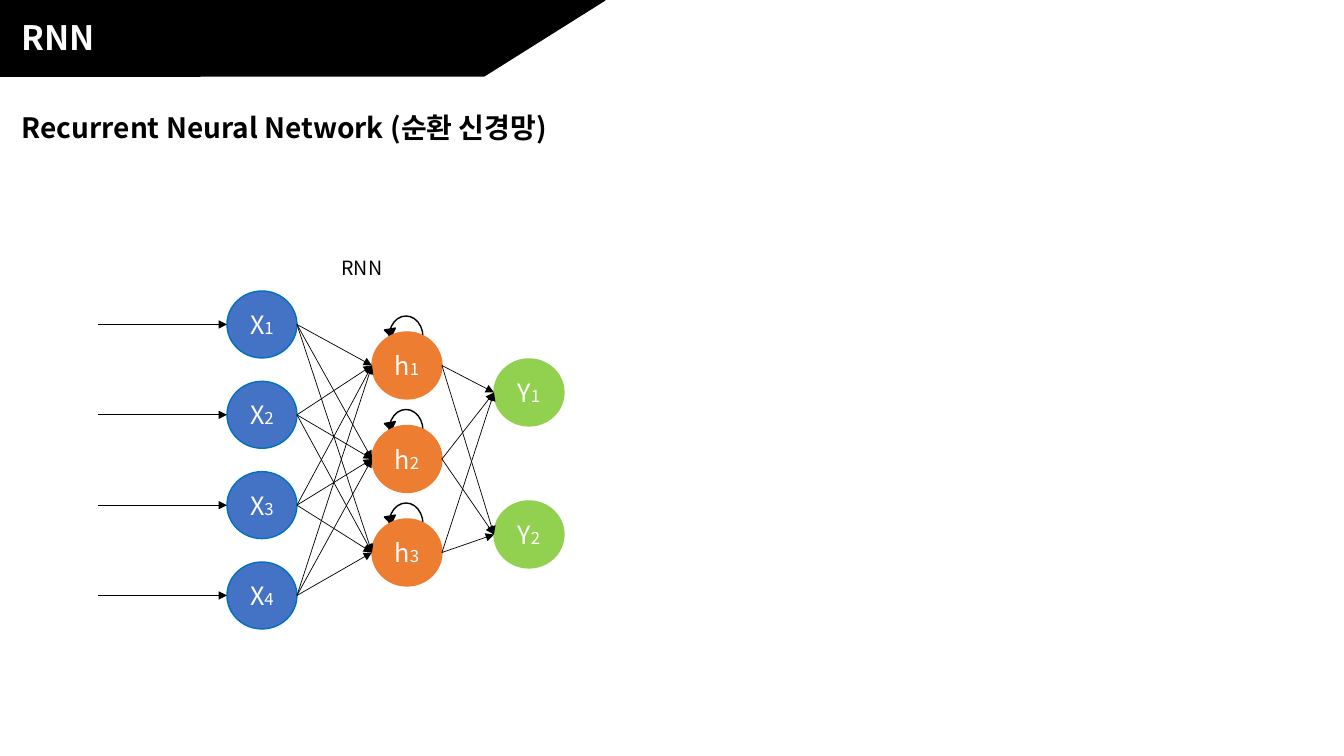
from itertools import product
from pptx import Presentation
from pptx.dml.color import RGBColor
from pptx.enum.shapes import MSO_CONNECTOR, MSO_SHAPE as SHAPE
from pptx.enum.text import MSO_ANCHOR, PP_ALIGN
from pptx.oxml.ns import qn
from pptx.util import Emu, Pt
from lxml.etree import SubElement

FONT = "Noto Sans CJK KR"
BLACK, WHITE = "000000", "FFFFFF"

# text, (left, top, width, height) in px, format
TEXTS = [
    ("RNN", (12, 12, 374, 50), dict(size=24, color=WHITE, bold=True)),
    ("RNN", (327, 251, 70, 34), dict(size=14, align=PP_ALIGN.CENTER)),
    ("Recurrent Neural Network (순환 신경망)", (12, 106, 851, 44),
     dict(size=20, bold=True)),
]
# letter, node count, left, first top, last top, fill, outline
LAYERS = [
    ("X", 4, 227, 291, 562, "4472C4", "0070C0"),
    ("h", 3, 372, 332, 519, "ED7D31", "ED7D31"),
    ("Y", 2, 494, 359, 501, "92D050", "92D050"),
]
NODE_W, NODE_H = 70, 67
INPUT_LEFT = 98
RECURRENT = "h"


def px(n):
    return Emu(round(n * 914400 / 100.8))


def rgb(color):
    return RGBColor.from_string(color)


def add_shape(kind, box, fill=None, line=BLACK, rotation=0):
    s = slide.shapes.add_shape(kind, *map(px, box))
    s.shadow.inherit = False
    s.rotation = rotation
    if fill:
        s.fill.solid()
        s.fill.fore_color.rgb = rgb(fill)
    else:
        s.fill.background()
    s.line.color.rgb = rgb(line)
    s.line.width = Pt(1)
    return s


def add_run(p, text, size, color=BLACK, bold=False, align=PP_ALIGN.LEFT):
    p.alignment = align
    r = p.add_run()
    r.text = text
    r.font.size, r.font.bold, r.font.name = Pt(size), bold, FONT
    r.font.color.rgb = rgb(color)
    SubElement(r._r.rPr, qn("a:ea")).set("typeface", FONT)


def add_text(text, box, **fmt):
    s = slide.shapes.add_textbox(*map(px, box))
    s.text_frame.word_wrap = True
    add_run(s.text_frame.paragraphs[0], text, **fmt)


def add_arrow(start, end):
    c = slide.shapes.add_connector(MSO_CONNECTOR.STRAIGHT,
                                   *map(px, (*start, *end)))
    c.line.color.rgb = rgb(BLACK)
    c.line.width = Pt(0.5)
    SubElement(c.line._get_or_add_ln(), qn("a:tailEnd")).set("type", "triangle")
    SubElement(c._element.spPr, qn("a:effectLst"))


def add_loop(left, top):
    """Self-loop above a recurrent node; the node covers its lower part."""
    add_shape(SHAPE.ISOSCELES_TRIANGLE, (left + 13, top - 3, 11, 8), BLACK,
              rotation=170.3)
    add_shape(SHAPE.OVAL, (left + 17, top - 16, 34, 42))


def add_node(letter, number, left, top, fill, line):
    s = add_shape(SHAPE.OVAL, (left, top, NODE_W, NODE_H), fill, line)
    tf = s.text_frame
    tf.word_wrap = False
    tf.vertical_anchor = MSO_ANCHOR.MIDDLE
    for text, size in ((letter, 18), (str(number), 12)):
        add_run(tf.paragraphs[0], text, size, WHITE, align=PP_ALIGN.CENTER)


prs = Presentation()
prs.slide_width, prs.slide_height = px(1344), px(756)
slide = prs.slides.add_slide(prs.slide_layouts[6])

add_shape(SHAPE.RECTANGLE, (0, 0, 200, 76), BLACK)
add_shape(SHAPE.FLOWCHART_DATA, (0, 0, 605, 76), BLACK)

sources = []
for letter, count, left, first, last, fill, line in LAYERS:
    tops = [first + i * (last - first) / (count - 1) for i in range(count)]
    middles = [top + NODE_H / 2 for top in tops]
    for number, top in enumerate(tops, 1):
        if letter == RECURRENT:
            add_loop(left, top)
        add_node(letter, number, left, top, fill, line)
    if sources:
        arrows = product(sources, middles)
    else:
        arrows = [((INPUT_LEFT, y), y) for y in middles]
    for start, y in arrows:
        add_arrow(start, (left, y))
    sources = [(left + NODE_W, y) for y in middles]

for text, box, fmt in TEXTS:
    add_text(text, box, **fmt)

prs.save("out.pptx")
